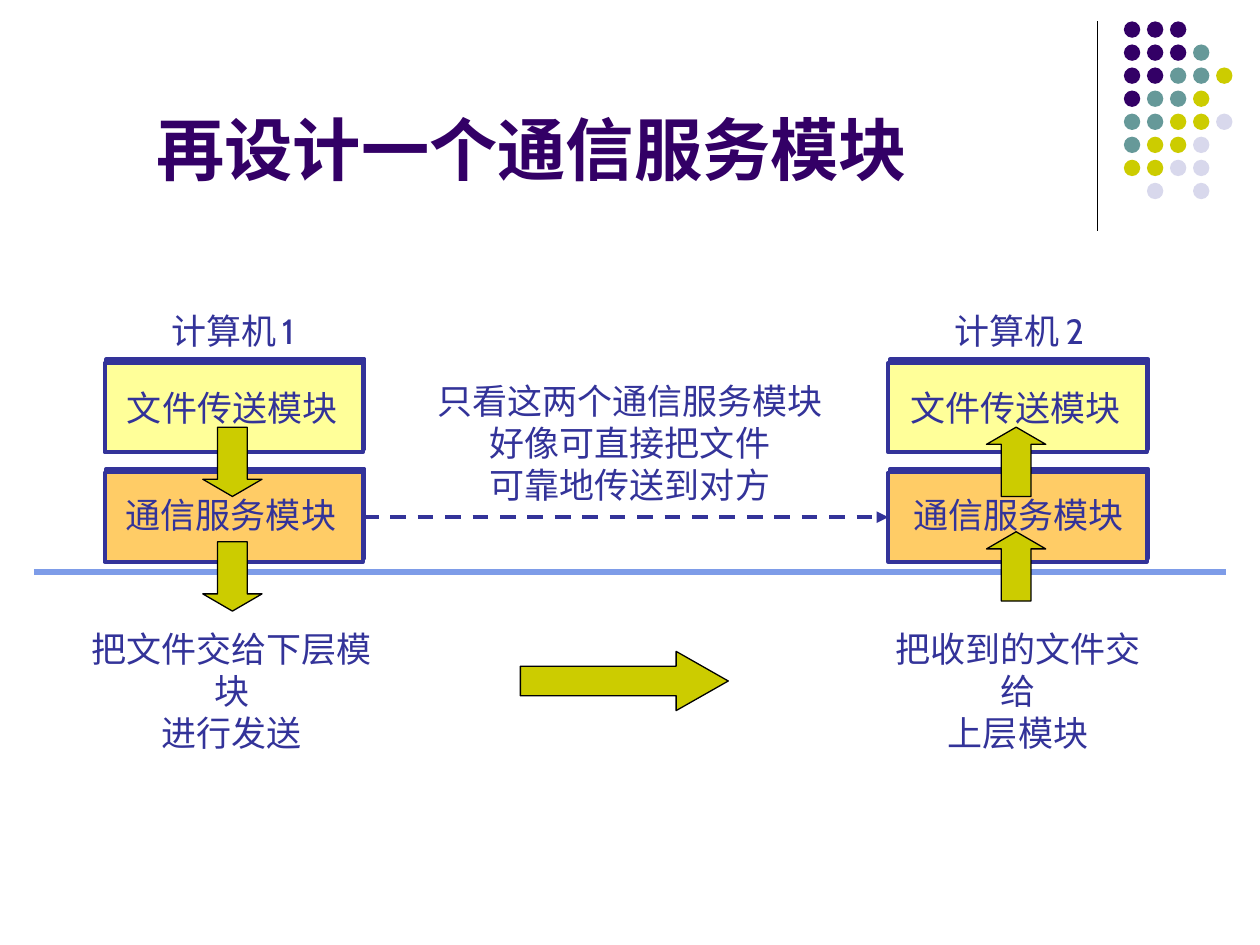
from lxml.etree import SubElement
from pptx import Presentation
from pptx.dml.color import RGBColor
from pptx.enum.dml import MSO_LINE_DASH_STYLE as DASH
from pptx.enum.shapes import MSO_CONNECTOR, MSO_SHAPE as SHAPE
from pptx.enum.text import MSO_ANCHOR, MSO_AUTO_SIZE, PP_ALIGN
from pptx.oxml import parse_xml
from pptx.oxml.ns import nsdecls, qn
from pptx.util import Inches, Pt

INK, OLIVE, PURPLE = "333399", "CCCC00", "330066"
color = RGBColor.from_string

prs = Presentation()
prs.slide_width, prs.slide_height = Inches(10), Inches(7.5)
s = prs.slides.add_slide(prs.slide_layouts[6])
CELL = prs.slide_width // 100  # grid of 100 columns by 75 rows


def add_shape(kind, box, fill, line=None, width=0.75, adj=()):
    """Add a filled preset shape; box is left, top, width, height in cells."""
    sp = s.shapes.add_shape(kind, *(int(v * CELL) for v in box))
    sp.shadow.inherit = False
    sp.fill.solid()
    sp.fill.fore_color.rgb = color(fill)
    if line:
        sp.line.color.rgb = color(line)
        sp.line.width = Pt(width)
    else:
        sp.line.fill.background()
    for i, value in enumerate(adj):
        sp.adjustments[i] = value
    return sp


def add_text(lines, box, size=20, font="Cabin", ink=INK, bold=False,
             align=PP_ALIGN.CENTER, anchor=MSO_ANCHOR.TOP, wrap=False):
    """Add a text box; each line is a list of (text, size or None) runs or a string."""
    tf = s.shapes.add_textbox(*(int(v * CELL) for v in box)).text_frame
    tf.word_wrap = wrap
    tf.vertical_anchor = anchor
    tf.auto_size = MSO_AUTO_SIZE.NONE if wrap else MSO_AUTO_SIZE.SHAPE_TO_FIT_TEXT
    for i, line in enumerate(lines):
        p = tf.paragraphs[0] if i == 0 else tf.add_paragraph()
        p.alignment = align
        for text, own_size in [(line, None)] if isinstance(line, str) else line:
            r = p.add_run()
            r.text = text
            r.font.size = Pt(own_size or size)
            r.font.name = font
            r.font.bold = bold
            r.font.color.rgb = color(ink)
            SubElement(r.font._element, qn("a:ea"), typeface=font)


# Corner dots, one letter for each colour
DOT_COLORS = {"P": PURPLE, "T": "669999", "O": OLIVE, "L": "D8D8EC"}
DOTS = ["PPP", "PPPT", "PPTTO", "PTTO", "TTOOL", "TOOL", "OOLL", " L L"]
for row, letters in enumerate(DOTS):
    for col, letter in enumerate(letters):
        if letter in DOT_COLORS:
            add_shape(SHAPE.OVAL, (89.2 + 1.83 * col, 1.7 + 1.83 * row, 1.3, 1.3),
                      DOT_COLORS[letter])

# Module boxes of both computers
LEFT, RIGHT = 8.3, 70.5
FILE_ROW, SERVICE_ROW = 28.8, 37.5
modules = {}
for top, fill in ((SERVICE_ROW, "FFCC66"), (FILE_ROW, "FFFF99")):
    for x in (RIGHT, LEFT):
        sp = add_shape(SHAPE.RECTANGLE, (x, top, 20.5, 7.1), fill, INK, 2.25)
        effects = sp._element.spPr.find(qn("a:effectLst"))
        effects.append(parse_xml(
            f'<a:outerShdw {nsdecls("a")} dist="{Pt(2.2)}" dir="{296 * 60000}" '
            f'algn="ctr" rotWithShape="0"><a:srgbClr val="{INK}"/></a:outerShdw>'))
        modules[x, top] = sp

# Lines: vertical rule, link between the service modules, layer boundary
for x1, y1, x2, y2, ink, width in ((87.1, 1.7, 87.1, 18.3, "000000", 0.75),
                                   (28.8, 41, 70.5, 41, INK, 2.25),
                                   (2.7, 45.4, 97.3, 45.4, "7E9CE8", 3)):
    line = s.shapes.add_connector(MSO_CONNECTOR.STRAIGHT,
                                  *(int(v * CELL) for v in (x1, y1, x2, y2)))
    line.line.color.rgb = color(ink)
    line.line.width = Pt(width)
    if ink == INK:
        line.begin_connect(modules[LEFT, SERVICE_ROW], 3)
        line.end_connect(modules[RIGHT, SERVICE_ROW], 1)
        line.line.dash_style = DASH.DASH
        SubElement(line.line._get_or_add_ln(), qn("a:tailEnd"), type="triangle")
    SubElement(line._element.spPr, qn("a:effectLst"))

add_text(["再设计一个通信服务模块 "], (5, 1.3, 75.9, 14.2), size=39, font="Arial",
         ink=PURPLE, bold=True, anchor=MSO_ANCHOR.BOTTOM, wrap=True)
add_text(["只看这两个通信服务模块", "好像可直接把文件", "可靠地传送到对方"],
         (33.7, 29.6, 32.6, 11))

# Labels and data flow of each computer
for x, number, arrow, low_arrow, service_x, note, note_x, note_w in (
        (LEFT, "1", SHAPE.DOWN_ARROW, 43, 9,
         ["把文件交给下层模块", "进行发送"], 4.9, 27),
        (RIGHT, "2", SHAPE.UP_ARROW, 42.2, 71.5,
         ["把收到的文件交给", "上层模块"], 68.7, 24.2)):
    add_text([[("计算机", None), (" ", 14), (number, None)]],
             (x + 4.3, 24.1, 13.3, 4.4), align=PP_ALIGN.LEFT)
    add_text(["文件传送模块"], (x + 0.8, 30.2, 18.7, 4.4), align=PP_ALIGN.LEFT)
    add_shape(arrow, (x + 7.8, 33.9, 4.7, 5.5), OLIVE, "000000", adj=(0.5, 0.29))
    add_text(["通信服务模块"], (service_x, 38.7, 18.7, 4.4), align=PP_ALIGN.LEFT)
    add_shape(arrow, (x + 7.8, low_arrow, 4.7, 5.5), OLIVE, "000000", adj=(0.5, 0.29))
    add_text(note, (note_x, 49.3, note_w, 7.7))

add_shape(SHAPE.RIGHT_ARROW, (41.3, 51.7, 16.5, 4.7), OLIVE, "000000", adj=(0.5, 0.88))

prs.save("out.pptx")
